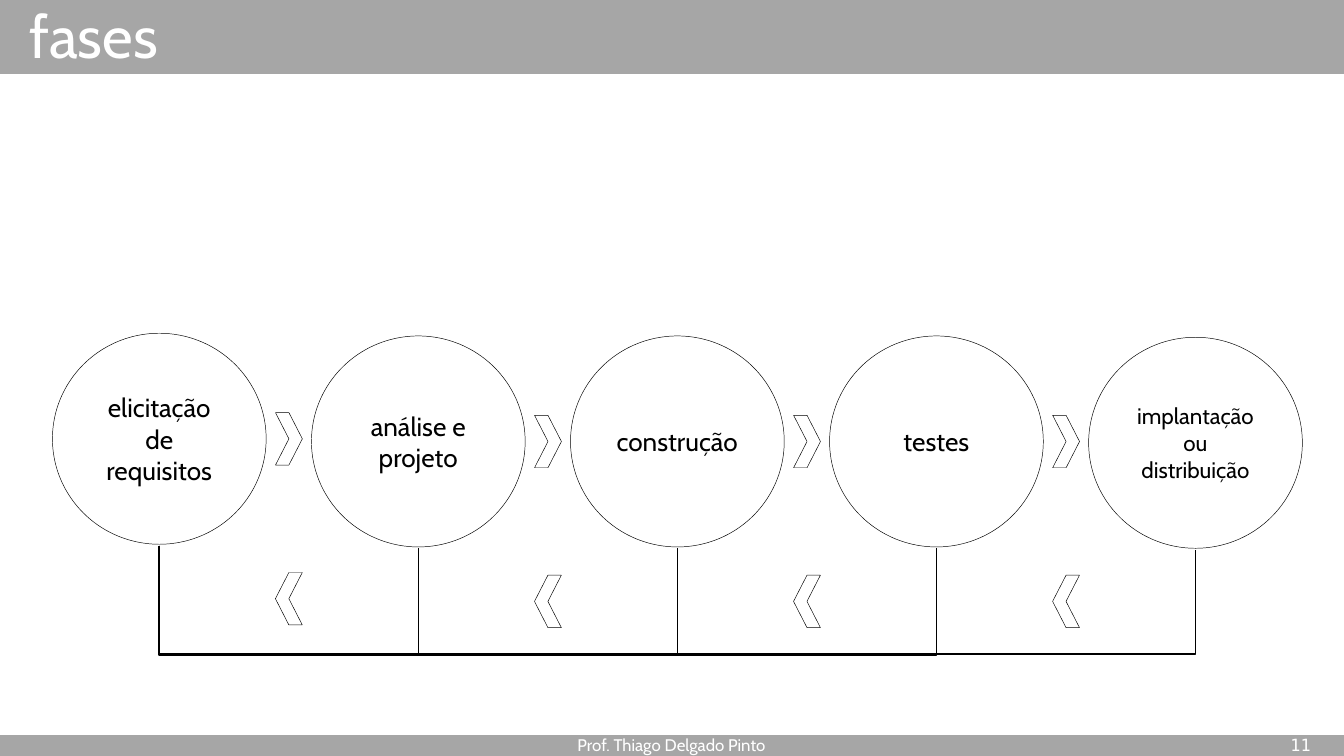
import pptx
import pptx.dml.color
import pptx.enum.shapes
import pptx.enum.text
import pptx.oxml.ns
import pptx.util
from lxml import etree
from pptx.util import Inches

RGBColor = pptx.dml.color.RGBColor
Shapes = pptx.enum.shapes.MSO_SHAPE
Align = pptx.enum.text.PP_ALIGN

GRAY = RGBColor(0xA6, 0xA6, 0xA6)
WHITE = RGBColor(0xFF, 0xFF, 0xFF)
BLACK = RGBColor(0, 0, 0)
FONT = "Cabin"
NUMBER_FONT = "DejaVu Sans Mono"

SLIDE_WIDTH = 10
SLIDE_HEIGHT = SLIDE_WIDTH * 9 / 16
CIRCLE_WIDTH, CIRCLE_HEIGHT = 1.59, 1.57
CHEVRON_WIDTH, CHEVRON_HEIGHT = 0.2, 0.39
RETURN_DROP = 0.81

# Label, text size, top offset within the diagram
PHASES = [
    ("elicitação de requisitos", 14, 0),
    ("análise e projeto", 14, 0.02),
    ("construção", 14, 0.02),
    ("testes", 14, 0.02),
    ("implantação ou distribuição", 12, 0.03),
]


def write_text(shape, text, size, color, align, font=FONT, vertical_inset=0.05):
    frame = shape.text_frame
    frame.word_wrap = True
    frame.auto_size = pptx.enum.text.MSO_AUTO_SIZE.NONE
    frame.vertical_anchor = pptx.enum.text.MSO_ANCHOR.MIDDLE
    frame.margin_left = frame.margin_right = Inches(0.1)
    frame.margin_top = frame.margin_bottom = Inches(vertical_inset)
    paragraph = frame.paragraphs[0]
    paragraph.alignment = align
    run = paragraph.add_run()
    run.text = text
    run.font.name = font
    run.font.size = pptx.util.Pt(size)
    run.font.color.rgb = color


def add_box(slide, kind, left, top, width, height, fill=WHITE, line=BLACK):
    shape = slide.shapes.add_shape(
        kind, Inches(left), Inches(top), Inches(width), Inches(height))
    shape.shadow.inherit = False
    shape.fill.solid()
    shape.fill.fore_color.rgb = fill
    if line is None:
        shape.line.fill.background()
    else:
        shape.line.color.rgb = line
        shape.line.width = pptx.util.Pt(0.25)
    return shape


def add_label(slide, left, top, width, height, text, align, font=FONT):
    box = slide.shapes.add_textbox(
        Inches(left), Inches(top), Inches(width), Inches(height))
    write_text(box, text, 9, WHITE, align, font, vertical_inset=0)


def add_header(slide, left, top, width, height):
    add_box(slide, Shapes.RECTANGLE, left, top, width, height, GRAY, None)
    title = slide.shapes.title
    title.left, title.top = Inches(left + 0.12), Inches(top + 0.04)
    title.width, title.height = Inches(9.06), Inches(0.44)
    write_text(title, "fases", 32, WHITE, Align.LEFT, vertical_inset=0)
    # Bring the title in front of its bar
    slide.shapes._spTree.append(title._element)


def add_footer(slide, left, top, width, height):
    add_box(slide, Shapes.RECTANGLE, left, top, width, height, GRAY, None)
    label_height = 0.15
    add_label(slide, left + 1.06, top, 7.87, label_height,
              "Prof. Thiago Delgado Pinto", Align.CENTER)
    add_label(slide, left + 9.17, top, 0.68, label_height,
              "11", Align.RIGHT, NUMBER_FONT)


def add_return_line(slide, left, top, span, rise):
    """Elbow that leaves downwards, runs below the circles and comes back up."""
    connector = slide.shapes.add_connector(
        pptx.enum.shapes.MSO_CONNECTOR.ELBOW, 0, 0, Inches(rise), Inches(span))
    connector.left = Inches(left + (span - rise) / 2)
    connector.top = Inches(top + (rise - span) / 2)
    connector.line.color.rgb = BLACK
    connector.line.width = pptx.util.Pt(0.75)
    properties = connector._element.spPr
    transform = properties.find(pptx.oxml.ns.qn("a:xfrm"))
    transform.set("rot", str(270 * 60000))
    transform.set("flipH", "1")
    adjustments = properties.find(".//" + pptx.oxml.ns.qn("a:avLst"))
    if adjustments is None:
        geometry = properties.find(pptx.oxml.ns.qn("a:prstGeom"))
        adjustments = etree.SubElement(geometry, pptx.oxml.ns.qn("a:avLst"))
    guide = etree.SubElement(adjustments, pptx.oxml.ns.qn("a:gd"))
    guide.set("name", "adj1")
    guide.set("fmla", f"val {round(RETURN_DROP / rise * 100000)}")
    etree.SubElement(properties, pptx.oxml.ns.qn("a:effectLst"))


def add_phase_diagram(slide, left, top, width):
    pitch = (width - CIRCLE_WIDTH) / (len(PHASES) - 1)

    # Phase circles
    for index, (label, size, offset) in enumerate(PHASES):
        circle = add_box(slide, Shapes.FLOWCHART_CONNECTOR, left + index * pitch,
                         top + offset, CIRCLE_WIDTH, CIRCLE_HEIGHT)
        write_text(circle, label, size, BLACK, Align.CENTER)

    # Forward chevrons, return lines and backward chevrons
    add_chevrons(slide, left + 1.66, top + 0.59, pitch)
    for index, (_, _, offset) in enumerate(PHASES[1:], 1):
        add_return_line(slide, left + CIRCLE_WIDTH / 2, top + CIRCLE_HEIGHT + 0.01,
                        index * pitch, offset)
    add_chevrons(slide, left + 1.66, top + 1.78, pitch, backward=True)


def add_chevrons(slide, left, top, pitch, backward=False):
    for index, (_, _, offset) in enumerate(PHASES[:-1]):
        chevron = add_box(slide, Shapes.CHEVRON, left + index * pitch,
                          top + offset, CHEVRON_WIDTH, CHEVRON_HEIGHT)
        if backward:
            transform = chevron._element.spPr.find(pptx.oxml.ns.qn("a:xfrm"))
            transform.set("flipH", "1")


def main():
    presentation = pptx.Presentation()
    presentation.slide_width = Inches(SLIDE_WIDTH)
    presentation.slide_height = Inches(SLIDE_HEIGHT)
    slide = presentation.slides.add_slide(presentation.slide_layouts[5])
    add_header(slide, 0, 0, SLIDE_WIDTH, 0.55)
    add_phase_diagram(slide, 0.39, 2.48, 9.3)
    add_footer(slide, 0, 5.47, SLIDE_WIDTH, 0.17)
    presentation.save("out.pptx")


if __name__ == "__main__":
    main()
